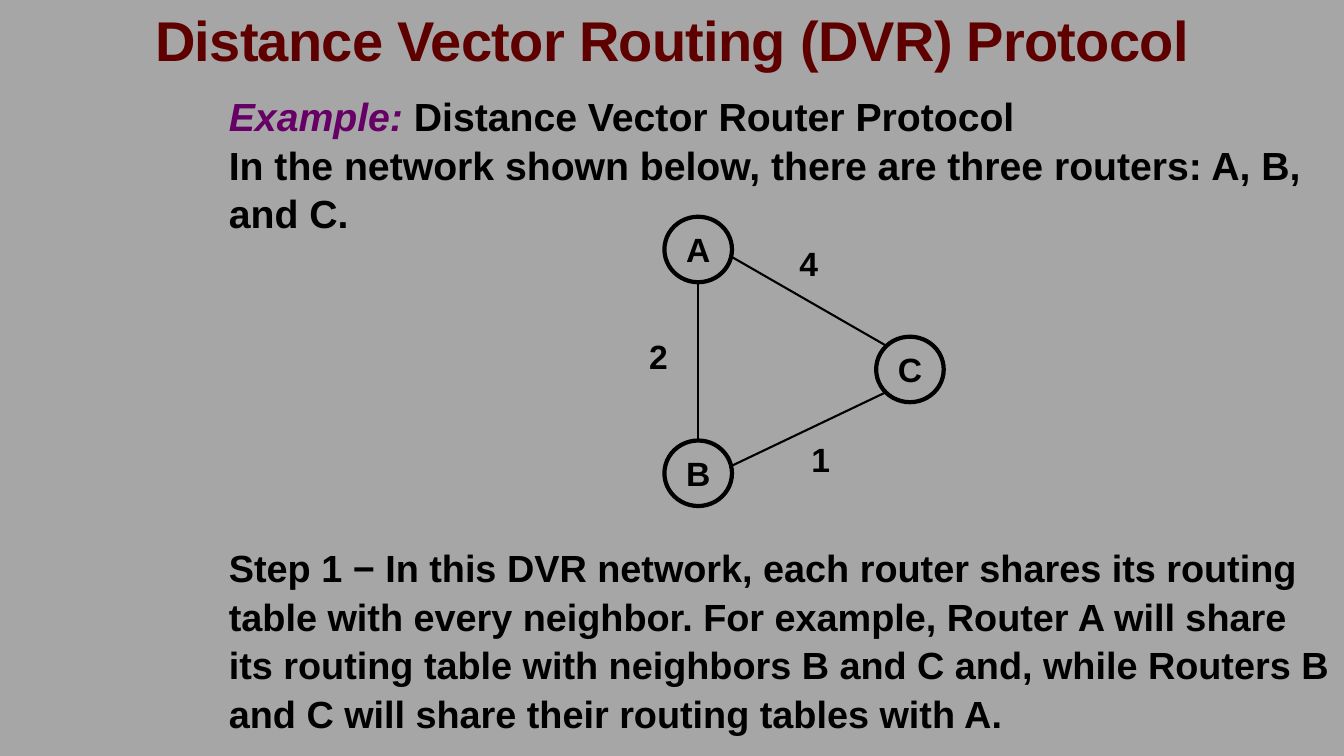
import dataclasses

import pptx
import pptx.dml.color
import pptx.enum.shapes
import pptx.enum.text
import pptx.oxml
import pptx.oxml.ns
import pptx.util

Inches = pptx.util.Inches
Pt = pptx.util.Pt
PP_ALIGN = pptx.enum.text.PP_ALIGN
MSO_ANCHOR = pptx.enum.text.MSO_ANCHOR

COLORS = {
    "background": "A6A6A6",
    "title": "5F0000",
    "example": "660066",
    "ink": "000000",
}
FONT = "Arial"
ROUTER_WIDTH, ROUTER_HEIGHT = 0.67, 0.65
COST_WIDTH, COST_HEIGHT = 0.39, 0.5


@dataclasses.dataclass
class Router:
    name: str
    left: float
    top: float


@dataclasses.dataclass
class Link:
    start: tuple[float, float]
    end: tuple[float, float]
    cost: str
    cost_left: float
    cost_top: float


ROUTERS = [
    Router("A", 6.59, 2.15),
    Router("B", 6.59, 4.37),
    Router("C", 8.69, 3.34),
]
LINKS = [
    Link((6.92, 2.8), (6.92, 4.37), "2", 6.34, 3.28),
    Link((7.26, 2.55), (8.79, 3.43), "4", 7.83, 2.36),
    Link((7.26, 4.62), (8.79, 3.89), "1", 7.95, 4.31),
]
EXAMPLE_LABEL = "Example: "
INTRO = [
    "Distance Vector Router Protocol",
    "In the network shown below, there are three routers: A, B, and C.",
]
STEP = (
    "Step 1 − In this DVR network, each router shares its routing table with "
    "every neighbor. For example, Router A will share its routing table with "
    "neighbors B and C and, while Routers B and C will share their routing "
    "tables with A."
)


def rgb(name: str) -> pptx.dml.color.RGBColor:
    return pptx.dml.color.RGBColor.from_string(COLORS[name])


def format_run(run, size: float, color: str = "ink", italic: bool = False) -> None:
    run.font.name = FONT
    run.font.size = Pt(size)
    run.font.bold = True
    run.font.italic = italic
    run.font.color.rgb = rgb(color)


def place(shape, left: float, top: float, width: float, height: float) -> None:
    shape.left, shape.top = Inches(left), Inches(top)
    shape.width, shape.height = Inches(width), Inches(height)
    shape.text_frame.auto_size = pptx.enum.text.MSO_AUTO_SIZE.NONE


def fill_title(title) -> None:
    place(title, 0, -0.31, 13.33, 1.08)
    title.text_frame.text = "Distance Vector Routing (DVR) Protocol"
    title.text_frame.vertical_anchor = MSO_ANCHOR.BOTTOM
    heading = title.text_frame.paragraphs[0]
    heading.alignment = PP_ALIGN.CENTER
    heading.line_spacing = 0.85
    format_run(heading.runs[0], 40, "title")
    heading.runs[0].font._element.set("spc", "-50")


def fill_body(body) -> None:
    place(body, 2.17, 0.85, 11.16, 6.55)
    frame = body.text_frame
    frame.vertical_anchor = MSO_ANCHOR.TOP
    example = frame.paragraphs[0]
    example_label = example.add_run()
    example_label.text = EXAMPLE_LABEL
    example_topic = example.add_run()
    example_topic.text = INTRO[0]
    setting = frame.add_paragraph()
    setting.text = INTRO[1]
    step = frame.add_paragraph()
    step.text = STEP

    for paragraph, size in ((example, 28), (setting, 28), (step, 27)):
        paragraph.alignment = PP_ALIGN.LEFT
        paragraph.line_spacing = Pt(34.7)
        paragraph.space_before = paragraph.space_after = Pt(0)
        properties = paragraph._p.get_or_add_pPr()
        properties.set("marL", "0")
        properties.set("indent", "0")
        properties.append(pptx.oxml.parse_xml(
            f"<a:buNone {pptx.oxml.ns.nsdecls('a')}/>"))
        for run in paragraph.runs:
            format_run(run, size)
    format_run(example_label, 28, "example", italic=True)
    step.space_before = Pt(218)


def draw_router(slide, router: Router) -> None:
    circle = slide.shapes.add_shape(
        pptx.enum.shapes.MSO_SHAPE.OVAL, Inches(router.left), Inches(router.top),
        Inches(ROUTER_WIDTH), Inches(ROUTER_HEIGHT))
    circle.shadow.inherit = False
    circle.fill.background()
    circle.line.color.rgb = rgb("ink")
    circle.line.width = Pt(3)
    frame = circle.text_frame
    frame.margin_left = frame.margin_right = 0
    frame.margin_top = frame.margin_bottom = 0
    frame.word_wrap = False
    frame.vertical_anchor = MSO_ANCHOR.MIDDLE
    frame.text = router.name
    frame.paragraphs[0].alignment = PP_ALIGN.CENTER
    format_run(frame.paragraphs[0].runs[0], 24)


def draw_link(slide, link: Link) -> None:
    line = slide.shapes.add_connector(
        pptx.enum.shapes.MSO_CONNECTOR.STRAIGHT,
        *(Inches(value) for value in link.start + link.end))
    line.line.color.rgb = rgb("ink")
    line.line.width = Pt(1.5)
    line._element.spPr.append(pptx.oxml.parse_xml(
        f"<a:effectLst {pptx.oxml.ns.nsdecls('a')}/>"))
    cost = slide.shapes.add_textbox(
        Inches(link.cost_left), Inches(link.cost_top),
        Inches(COST_WIDTH), Inches(COST_HEIGHT))
    cost.text_frame.word_wrap = False
    cost.text_frame.text = link.cost
    format_run(cost.text_frame.paragraphs[0].runs[0], 24)


def main() -> None:
    presentation = pptx.Presentation()
    presentation.slide_width = Inches(13.33)
    presentation.slide_height = Inches(7.5)
    slide = presentation.slides.add_slide(presentation.slide_layouts[1])
    slide.background.fill.solid()
    slide.background.fill.fore_color.rgb = rgb("background")
    fill_title(slide.shapes.title)
    fill_body(slide.placeholders[1])
    for router in ROUTERS:
        draw_router(slide, router)
    for link in LINKS:
        draw_link(slide, link)
    presentation.save("out.pptx")


if __name__ == "__main__":
    main()
